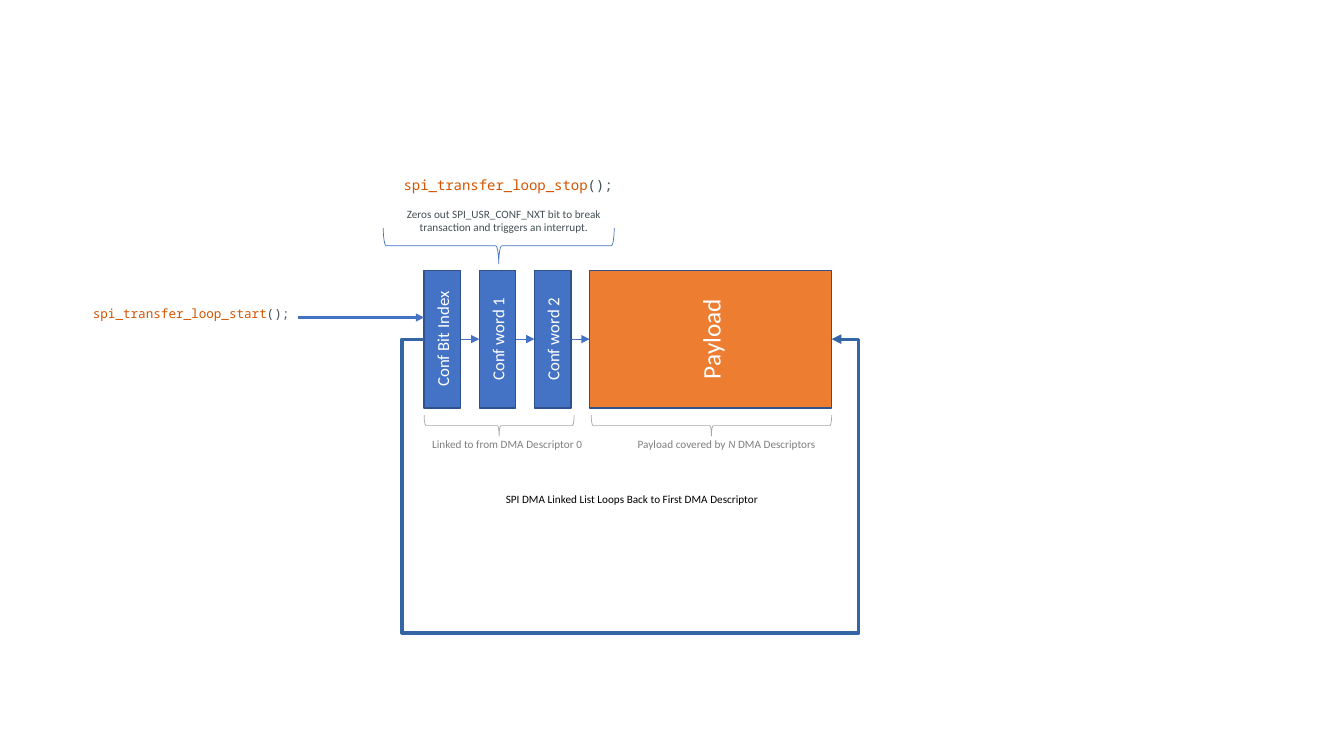
from dataclasses import dataclass

from lxml import etree
from pptx import Presentation
from pptx import util as u
from pptx.dml.color import RGBColor
from pptx.enum import shapes, text
from pptx.oxml.ns import qn


@dataclass(frozen=True)
class Theme:
    sans: str = "Calibri"
    mono: str = "Noto Sans Mono"
    blue: str = "4472C4"
    navy: str = "2F528F"
    loop: str = "3465A4"
    orange: str = "ED7D31"
    white: str = "FFFFFF"
    black: str = "000000"
    grey: str = "7F7F7F"
    brace_grey: str = "A6A6A6"
    call: str = "D35400"
    slate: str = "434F54"
    punctuation: str = "4E5B61"
    note_size: float = 8
    start_size: float = 9
    stop_size: float = 10
    word_size: float = 12
    payload_size: float = 18


THEME = Theme()

# Descriptor row, in centimetres
ROW_TOP, ROW_HEIGHT = 6.81, 3.47
WORD_LEFT, WORD_WIDTH, WORD_PITCH = 10.69, 0.92, 1.39
PAYLOAD_WIDTH = 6.1
WORDS = ("Conf Bit Index", "Conf word 1", "Conf word 2")


def write(paragraph, content, *, size, color=THEME.black, font=THEME.sans,
          align=text.PP_ALIGN.CENTER, italic=False, indent=0, before=0):
    """Append one formatted run and set its paragraph's layout."""
    if indent:
        paragraph._p.get_or_add_pPr().set("marL", str(u.Pt(indent)))
    if before:
        paragraph.space_before = u.Pt(before)
    paragraph.alignment = align
    run = paragraph.add_run()
    run.text = content
    run.font.size = u.Pt(size)
    run.font.name = font
    run.font.italic = italic
    run.font.color.rgb = RGBColor.from_string(color)


def text_box(slide, left, top, width, height):
    frame = slide.shapes.add_textbox(
        u.Cm(left), u.Cm(top), u.Cm(width), u.Cm(height)).text_frame
    frame.word_wrap = True
    return frame


def write_call(paragraph, function, **layout):
    parts = ((function, THEME.call), ("()", THEME.slate), (";", THEME.punctuation))
    for content, color in parts:
        write(paragraph, content, color=color, font=THEME.mono, **layout)


def stroke(item, color, width, arrow=False):
    item.line.color.rgb = RGBColor.from_string(color)
    item.line.width = u.Pt(width)
    if arrow:
        outline = item.element.spPr.find(qn("a:ln"))
        etree.SubElement(outline, qn("a:tailEnd"), type="triangle")


def block(slide, label, left, width, fill, size):
    """Descriptor block whose label reads upwards."""
    box = slide.shapes.add_shape(
        shapes.MSO_SHAPE.RECTANGLE,
        u.Cm(left), u.Cm(ROW_TOP), u.Cm(width), u.Cm(ROW_HEIGHT))
    box.shadow.inherit = False
    box.fill.solid()
    box.fill.fore_color.rgb = RGBColor.from_string(fill)
    stroke(box, THEME.navy, 1)
    box.text_frame.vertical_anchor = text.MSO_ANCHOR.MIDDLE
    box.element.txBody.bodyPr.set("vert", "vert270")
    write(box.text_frame.paragraphs[0], label, size=size, color=THEME.white)
    return box


def brace(slide, left, top, span, depth, color):
    """Downward brace, given by the area it covers once turned."""
    curl = slide.shapes.add_shape(
        shapes.MSO_SHAPE.LEFT_BRACE,
        u.Cm(left + (span - depth) / 2), u.Cm(top - (span - depth) / 2),
        u.Cm(depth), u.Cm(span))
    curl.rotation = 270
    curl.shadow.inherit = False
    curl.fill.background()
    stroke(curl, color, 0.5)


def arrow(slide, start, end, width):
    link = slide.shapes.add_connector(
        shapes.MSO_CONNECTOR.STRAIGHT, *map(u.Cm, start + end))
    stroke(link, THEME.blue, width, arrow=True)
    etree.SubElement(link.element.spPr, qn("a:effectLst"))
    return link


def loop_back(slide, points):
    first, *rest = [(u.Cm(x), u.Cm(y)) for x, y in points]
    builder = slide.shapes.build_freeform(*first)
    builder.add_line_segments(rest, close=False)
    route = builder.convert_to_shape()
    route.shadow.inherit = False
    route.fill.background()
    stroke(route, THEME.loop, 2.3, arrow=True)


def main():
    deck = Presentation()
    deck.slide_width, deck.slide_height = u.Cm(33.87), u.Cm(19.05)
    slide = deck.slides.add_slide(deck.slide_layouts[6])
    middle = ROW_TOP + ROW_HEIGHT / 2
    payload_left = WORD_LEFT + len(WORDS) * WORD_PITCH
    payload_right = payload_left + PAYLOAD_WIDTH

    # Configuration words and payload, linked in order
    chain = [block(slide, word, WORD_LEFT + i * WORD_PITCH, WORD_WIDTH,
                   THEME.blue, THEME.word_size)
             for i, word in enumerate(WORDS)]
    chain.append(block(slide, "Payload", payload_left, PAYLOAD_WIDTH,
                       THEME.orange, THEME.payload_size))
    for source, target in zip(chain, chain[1:]):
        link = arrow(slide, (WORD_LEFT, middle), (payload_left, middle), 0.5)
        link.begin_connect(source, 3)
        link.end_connect(target, 1)

    # Stop call
    brace(slide, 9.66, 5.74, 5.82, 0.91, THEME.blue)
    stop = text_box(slide, 9.4, 4.32, 6.6, 1.78)
    write_call(stop.paragraphs[0], "spi_transfer_loop_stop",
               size=THEME.stop_size, indent=6)
    write(stop.add_paragraph(),
          "Zeros out SPI_USR_CONF_NXT bit to break transaction and triggers an interrupt.",
          size=THEME.note_size, color=THEME.slate, before=10)

    # Start call
    arrow(slide, (7.5, 8), (WORD_LEFT, 8), 1.75)
    start = text_box(slide, 1.9, 7.59, 6, 1.09)
    write_call(start.paragraphs[0], "spi_transfer_loop_start",
               size=THEME.start_size, indent=5.4, align=text.PP_ALIGN.LEFT)

    # Descriptor coverage
    note = dict(size=THEME.note_size, color=THEME.grey, align=text.PP_ALIGN.LEFT)
    brace(slide, WORD_LEFT, 10.46, 3.78, 0.53, THEME.brace_grey)
    linked = text_box(slide, 10.64, 10.9, 4.88, 0.61)
    write(linked.paragraphs[0], "Linked to from DMA Descriptor 0", **note)
    brace(slide, payload_left + 0.04, 10.46, PAYLOAD_WIDTH - 0.04, 0.53,
          THEME.brace_grey)
    covered = text_box(slide, 15.82, 10.9, 5.66, 0.61).paragraphs[0]
    write(covered, "Payload covered by ", **note)
    write(covered, "N", italic=True, **note)
    write(covered, " DMA Descriptors", **note)

    # Loop back to the first descriptor
    caption = text_box(slide, 11.51, 12.27, 8.84, 0.61)
    write(caption.paragraphs[0],
          "SPI DMA Linked List Loops Back to First DMA Descriptor",
          size=THEME.note_size)
    loop_left, loop_right, loop_bottom = 10.13, 21.64, 15.95
    loop_back(slide, [(WORD_LEFT, middle), (loop_left, middle),
                      (loop_left, loop_bottom), (loop_right, loop_bottom),
                      (loop_right, middle), (payload_right, middle)])

    deck.save("out.pptx")


if __name__ == "__main__":
    main()
